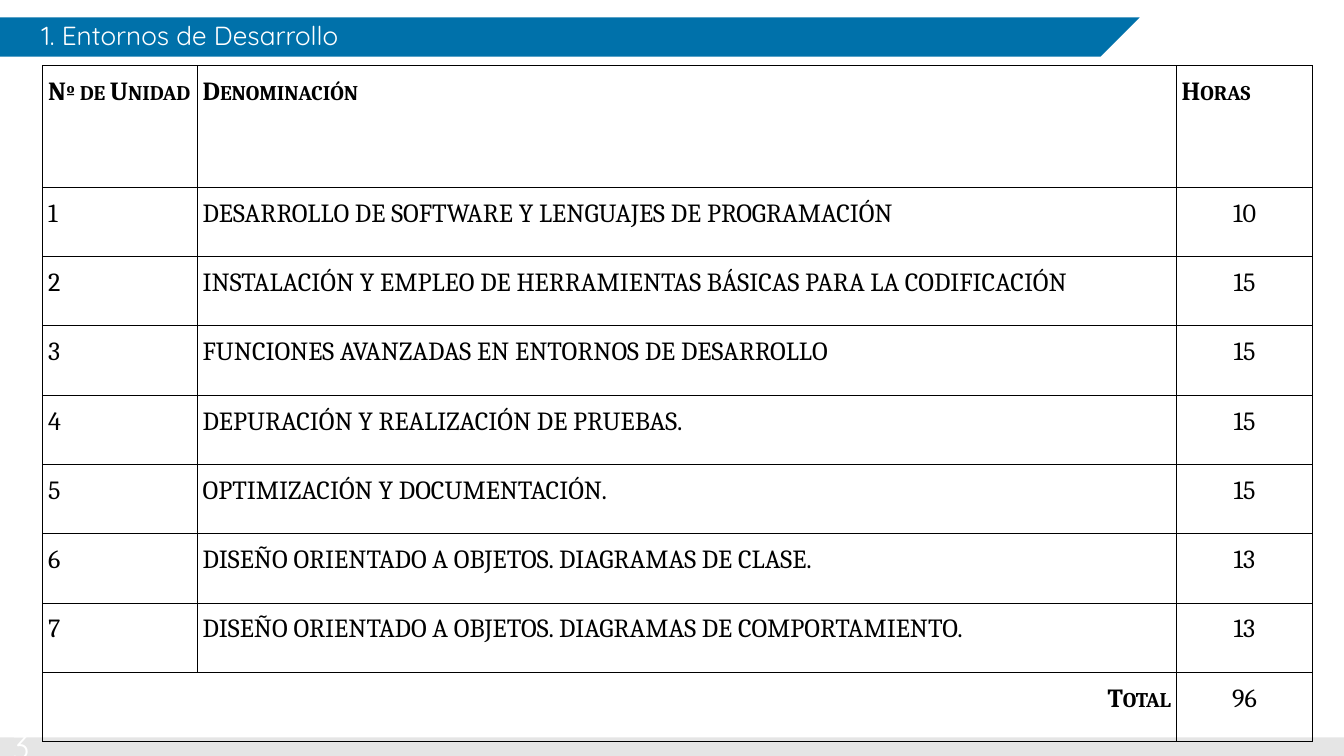
import pptx
import pptx.util
import pptx.dml.color
import pptx.enum.shapes
import pptx.enum.text
import pptx.oxml
import pptx.oxml.ns
import lxml.etree

Cm = pptx.util.Cm
Pt = pptx.util.Pt
Align = pptx.enum.text.PP_ALIGN
Anchor = pptx.enum.text.MSO_ANCHOR
qn = pptx.oxml.ns.qn

HUES = {"ink": "000000", "blue": "0071AA", "white": "FFFFFF"}
UNITS = [
    ("DESARROLLO DE SOFTWARE Y LENGUAJES DE PROGRAMACIÓN", 10),
    ("INSTALACIÓN Y EMPLEO DE HERRAMIENTAS BÁSICAS PARA LA CODIFICACIÓN", 15),
    ("FUNCIONES AVANZADAS EN ENTORNOS DE DESARROLLO", 15),
    ("DEPURACIÓN Y REALIZACIÓN DE PRUEBAS.", 15),
    ("OPTIMIZACIÓN Y DOCUMENTACIÓN.", 15),
    ("DISEÑO ORIENTADO A OBJETOS. DIAGRAMAS DE CLASE.", 13),
    ("DISEÑO ORIENTADO A OBJETOS. DIAGRAMAS DE COMPORTAMIENTO.", 13),
]


class Deck:
    head = "Quicksand"
    body = "Cambria"
    size = 14
    rule = 0.57

    def __init__(self, wide, high):
        self.show = pptx.Presentation()
        self.show.slide_width = Cm(wide)
        self.show.slide_height = Cm(high)
        self.slide = self.show.slides.add_slide(self.show.slide_layouts[5])
        self.shapes = self.slide.shapes

    def tint(self, name):
        return pptx.dml.color.RGBColor.from_string(HUES[name])

    def paint(self, shape, hue):
        shape.fill.solid()
        shape.fill.fore_color.rgb = self.tint(hue)
        shape.line.fill.background()
        shape.shadow.inherit = False

    def band(self, left, top, wide, high, hue, alpha):
        kind = pptx.enum.shapes.MSO_SHAPE.RECTANGLE
        shape = self.shapes.add_shape(kind, Cm(left), Cm(top), Cm(wide), Cm(high))
        self.paint(shape, hue)
        color = shape._element.spPr.find(qn("a:solidFill"))[0]
        lxml.etree.SubElement(color, qn("a:alpha")).set("val", str(alpha * 1000))

    def banner(self, spots, hue):
        spots = [(Cm(x), Cm(y)) for x, y in spots]
        build = self.shapes.build_freeform(*spots[0], scale=1.0)
        build.add_line_segments(spots[1:], close=True)
        self.paint(build.convert_to_shape(), hue)

    def words(self, frame, text, font, size, hue, space=1.0, align=Align.LEFT, strong=False):
        frame.text = text
        para = frame.paragraphs[0]
        para.alignment = align
        para.line_spacing = space
        for run in para.runs:
            run.font.name = font
            run.font.size = Pt(size)
            run.font.bold = strong
            run.font.color.rgb = self.tint(hue)
            if strong:
                run.font._element.set("cap", "small")

    def pad(self, item, side, top):
        item.margin_left = item.margin_right = Cm(side)
        item.margin_top = item.margin_bottom = Cm(top)

    def label(self, left, top, wide, high, text):
        box = self.shapes.add_textbox(Cm(left), Cm(top), Cm(wide), Cm(high))
        box.text_frame.word_wrap = True
        self.pad(box.text_frame, 0.23, 0.13)
        self.words(box.text_frame, text, self.head, 18, "white")

    def title(self, left, top, wide, high, text):
        shape = self.shapes.title
        shape.left, shape.top = Cm(left), Cm(top)
        shape.width, shape.height = Cm(wide), Cm(high)
        frame = shape.text_frame
        frame.word_wrap = True
        frame.auto_size = pptx.enum.text.MSO_AUTO_SIZE.NONE
        frame.vertical_anchor = Anchor.MIDDLE
        self.pad(frame, 0.28, 0.13)
        self.words(frame, text, self.head, self.size, "white", 0.9)
        self.shapes._spTree.append(shape._element)

    def cell(self, cell, text, align, strong):
        cell.fill.background()
        cell.vertical_anchor = Anchor.TOP
        self.pad(cell, 0.1, 0.13)
        self.words(cell.text_frame, text, self.body, self.size, "ink", 1.15, align, strong)
        props = cell._tc.get_or_add_tcPr()
        for spot, side in enumerate(("lnL", "lnR", "lnT", "lnB")):
            line = lxml.etree.Element(qn("a:" + side), w=str(Pt(self.rule)))
            fill = lxml.etree.SubElement(line, qn("a:solidFill"))
            lxml.etree.SubElement(fill, qn("a:srgbClr"), val=HUES["ink"])
            props.insert(spot, line)

    def table(self, left, top, cols, highs, rows):
        frame = self.shapes.add_table(
            len(rows), len(cols), Cm(left), Cm(top), Cm(sum(cols)), Cm(sum(highs)))
        table = frame.table
        table.first_row = table.horz_banding = False
        for col, wide in zip(table.columns, cols):
            col.width = Cm(wide)
        for row, high in zip(table.rows, highs):
            row.height = Cm(high)
        last = len(rows) - 1
        for r, row in enumerate(rows):
            for c, text in enumerate(row):
                align = Align.CENTER if r and c == 2 else Align.LEFT
                if r == last and c < 2:
                    align = Align.RIGHT
                strong = r == 0 or (r == last and c < 2)
                self.cell(table.cell(r, c), text, align, strong)
        table.cell(last, 0).merge(table.cell(last, 1))


def main():
    deck = Deck(25.4, 14.29)
    deck.band(0, 13.94, 25.4, 0.35, "ink", 10)
    deck.banner([(0, 0.33), (21.54, 0.33), (20.8, 1.07), (0, 1.07)], "blue")
    deck.label(0, 13.59, 1.5, 0.76, "3")
    deck.title(0.5, 0.33, 20.27, 0.74, "1. Entornos de Desarrollo")
    rows = [("Nº de Unidad", "Denominación", "Horas")]
    rows += [(str(n), name, str(hours)) for n, (name, hours) in enumerate(UNITS, 1)]
    rows.append(("Total", "", str(sum(hours for name, hours in UNITS))))
    highs = [2.3] + [1.31] * (len(rows) - 1)
    deck.table(0.81, 1.24, [2.92, 18.5, 2.58], highs, rows)
    deck.show.save("out.pptx")


if __name__ == "__main__":
    main()
